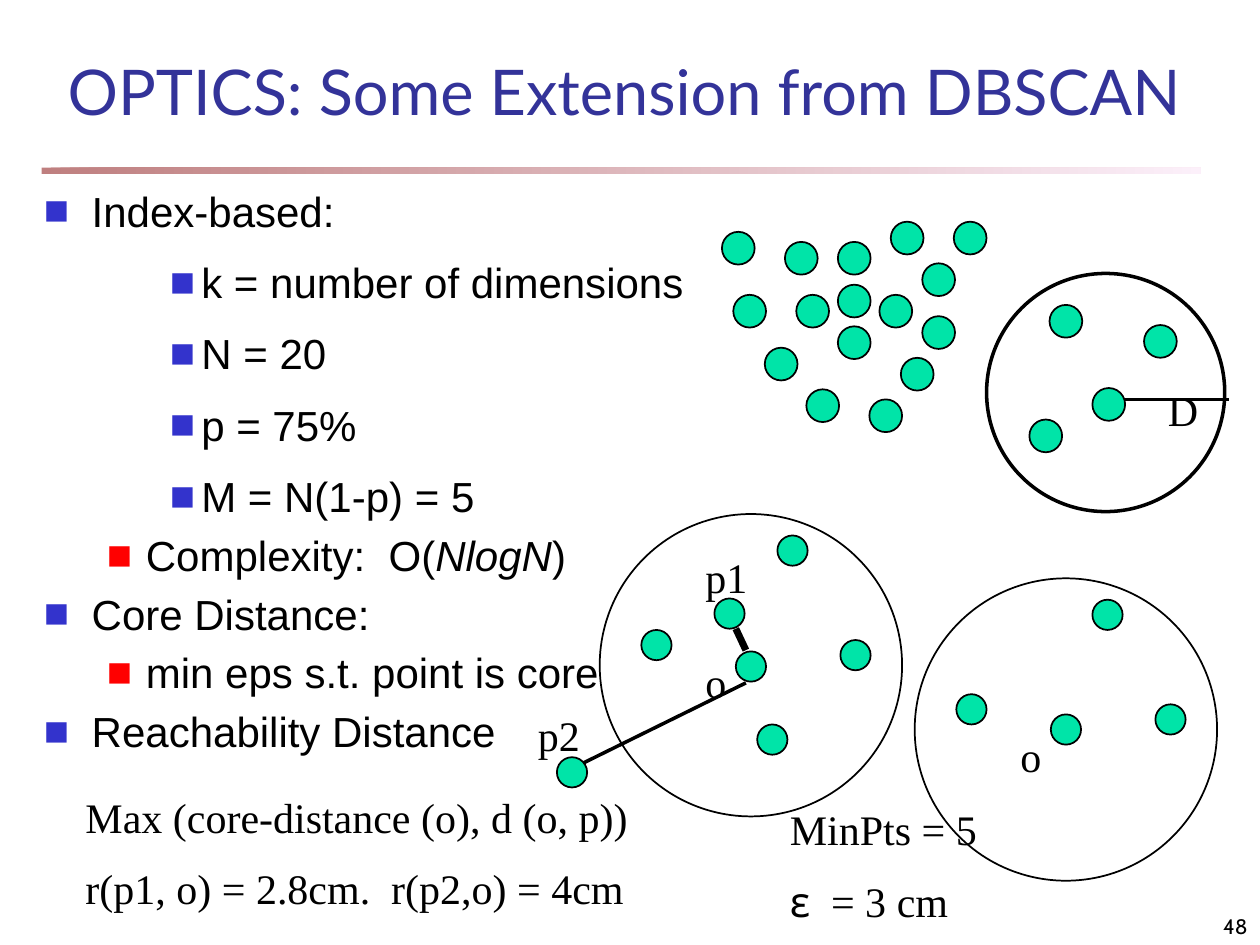
from lxml.etree import SubElement
from pptx import Presentation
from pptx.dml.color import RGBColor
from pptx.enum.shapes import MSO_CONNECTOR, MSO_SHAPE
from pptx.enum.text import MSO_ANCHOR, MSO_AUTO_SIZE, PP_ALIGN
from pptx.oxml.ns import qn
from pptx.util import Inches, Pt

BLACK, GREEN, BLUE, RED = "000000", "00E4A8", "3333CC", "FF0000"
SERIF = "Times New Roman"
LEVELS = [
    {"left": 0.38, "hang": 0.38, "gap": 4.8, "color": BLUE},
    {"left": 0.81, "hang": 0.31, "gap": 4.8, "color": RED},
    {"left": 1.25, "hang": 0.25, "gap": 12, "color": BLUE},
]
POINTS = [
    (0, [("Index-based:", False)]),
    (2, [("k = number of dimensions", False)]),
    (2, [("N = 20", False)]),
    (2, [("p = 75%", False)]),
    (2, [("M = N(1-p) = 5", False)]),
    (1, [("Complexity:  O(", False), ("NlogN", True), (")", False)]),
    (0, [("Core Distance:", False)]),
    (1, [("min eps s.t. point is core", False)]),
    (0, [("Reachability Distance", False)]),
]
CLOUD = [
    (0.5, 0.16), (0.59, 0.58), (0.92, 0.5), (0.34, 1), (1.25, 0.58),
    (0.92, 0.16), (0.67, 1.33), (1.59, 0.33), (1.34, 0), (1.59, 0.75),
    (1.42, 1.08), (0.92, 0.83), (0.09, 0.58), (1.17, 1.41), (1.84, 0),
    (0, 0.08),
]


def paint(hue):
    return RGBColor.from_string(hue)


def style(font, name, size, hue=BLACK):
    for key, value in {"name": name, "size": Pt(size)}.items():
        setattr(font, key, value)
    font.color.rgb = paint(hue)


def oval(slide, x, y, size, fill=None, width=1):
    shape = slide.shapes.add_shape(
        MSO_SHAPE.OVAL, Inches(x), Inches(y), Inches(size), Inches(size))
    shape.shadow.inherit = False
    if fill:
        shape.fill.solid()
        shape.fill.fore_color.rgb = paint(fill)
    else:
        shape.fill.background()
    shape.line.color.rgb = paint(BLACK)
    shape.line.width = Pt(width)


def dots(slide, x, y, spots, size):
    for dx, dy in spots:
        oval(slide, x + dx, y + dy, size, GREEN)


def link(slide, x, y, start, end, width):
    ends = [Inches(v) for v in (x + start[0], y + start[1], x + end[0], y + end[1])]
    line = slide.shapes.add_connector(MSO_CONNECTOR.STRAIGHT, *ends)
    line.line.color.rgb = paint(BLACK)
    line.line.width = Pt(width)
    SubElement(line._element.spPr, qn("a:effectLst"))


def frame(slide, x, y, w, h):
    box = slide.shapes.add_textbox(Inches(x), Inches(y), Inches(w), Inches(h))
    box.text_frame.word_wrap = True
    return box.text_frame


def label(slide, x, y, w, h, lines):
    text = frame(slide, x, y, w, h)
    for i, runs in enumerate(lines):
        para = text.paragraphs[0] if i == 0 else text.add_paragraph()
        if i:
            para.space_before = Pt(12)
        for words, face in runs:
            run = para.add_run()
            run.text = words
            style(run.font, face, 24)


def tag(slide, x, y, words, w=0.58):
    label(slide, x, y, w, 0.5, [[(words, SERIF)]])


def head(slide, x, y, w, h):
    title = slide.shapes.title
    title.left, title.top, title.width, title.height = map(Inches, (x, y, w, h))
    text = title.text_frame
    text.text = "OPTICS: Some Extension from DBSCAN"
    for key, value in {"auto_size": MSO_AUTO_SIZE.NONE, "word_wrap": True,
                       "vertical_anchor": MSO_ANCHOR.MIDDLE}.items():
        setattr(text, key, value)
    para = text.paragraphs[0]
    para.alignment = PP_ALIGN.CENTER
    style(para.runs[0].font, "Lato", 36, "333399")


def rule(slide, x, y, w, h):
    bar = slide.shapes.add_shape(
        MSO_SHAPE.RECTANGLE, Inches(x), Inches(y), Inches(w), Inches(h))
    bar.shadow.inherit = False
    bar.line.fill.background()
    bar.fill.gradient()
    bar.fill.gradient_angle = 0
    for stop, hue, place in zip(bar.fill.gradient_stops, ("800000", "FAE2F6"), (0, 1)):
        stop.color.rgb = paint(hue)
        stop.position = place
    for tone in bar._element.spPr.iter(qn("a:srgbClr")):
        SubElement(tone, qn("a:alpha"), val="50000")


def bullet(para, left, hang, gap, color):
    props = para._p.get_or_add_pPr()
    props.set("marL", str(Inches(left)))
    props.set("indent", str(-Inches(hang)))
    SubElement(SubElement(props, qn("a:buClr")), qn("a:srgbClr"), val=color)
    SubElement(props, qn("a:buFont"), typeface="Arial")
    SubElement(props, qn("a:buChar"), char="■")


def body(slide, x, y, w, h):
    text = frame(slide, x, y, w, h)
    for i, (level, runs) in enumerate(POINTS):
        para = text.paragraphs[0] if i == 0 else text.add_paragraph()
        para.level = level
        bullet(para, **LEVELS[level])
        if i:
            para.space_before = Pt(LEVELS[level]["gap"])
        for words, slant in runs:
            run = para.add_run()
            run.text = words
            style(run.font, "Arial", 24)
            run.font.italic = slant


def disc(slide, x, y, size):
    oval(slide, x, y, size, width=2)
    link(slide, x, y, (1.09, 1), (1.92, 1), 2)
    tag(slide, x + 1.34, y + 0.83, "D", 0.48)
    dots(slide, x, y, [(1.25, 0.41), (0.34, 1.16), (0.84, 0.91), (0.5, 0.25)], 0.26)


def reach(slide, x, y, size):
    tag(slide, x - 0.59, y + 1.5, "p2")
    oval(slide, x, y, size)
    dots(slide, x, y, [(0.91, 0.67), (0.33, 0.92), (1.08, 1.09), (1.25, 1.67),
                       (1.91, 1), (1.41, 0.17)], 0.24)
    tag(slide, x + 0.74, y + 1.08, "o")
    tag(slide, x + 0.74, y + 0.25, "p1")
    link(slide, x, y, (1.08, 0.91), (1.16, 1.08), 4)
    link(slide, x, y, (1.16, 1.34), (-0.18, 2), 2)
    dots(slide, x, y, [(-0.34, 1.93)], 0.24)


def core(slide, x, y, size):
    oval(slide, x, y, size)
    dots(slide, x, y, [(0.33, 0.92), (1.08, 1.08), (1.91, 1), (1.41, 0.17)], 0.24)
    tag(slide, x + 0.74, y + 1.16, "o")


def page(slide, x, y, w, h):
    text = frame(slide, x, y, w, h)
    text.vertical_anchor = MSO_ANCHOR.BOTTOM
    para = text.paragraphs[0]
    para.alignment = PP_ALIGN.RIGHT
    run = para.add_run()
    run.text = "48"
    style(run.font, "Cabin", 12)


def main():
    deck = Presentation()
    deck.slide_width, deck.slide_height = Inches(10), Inches(7.5)
    slide = deck.slides.add_slide(deck.slide_layouts[5])
    rule(slide, 0.33, 1.33, 9.2, 0.05)
    head(slide, 0.33, 0.48, 9.25, 0.48)
    body(slide, 0.25, 1.42, 5.67, 4.33)
    dots(slide, 5.73, 1.76, CLOUD, 0.26)
    disc(slide, 7.83, 2.17, 1.89)
    reach(slide, 4.76, 4.08, 2.4)
    core(slide, 7.26, 4.59, 2.4)
    label(slide, 6.17, 6.33, 1.92, 1.1, [
        [("MinPts = 5", SERIF)], [("ε", "Noto Sans"), ("  = 3 cm", SERIF)]])
    label(slide, 0.58, 6.23, 4.75, 1.1, [
        [("Max (core-distance (o), d (o, p))", SERIF)],
        [("r(p1, o) = 2.8cm.  r(p2,o) = 4cm", SERIF)]])
    page(slide, 7.92, 7.08, 2.08, 0.42)
    deck.save("out.pptx")


if __name__ == "__main__":
    main()
